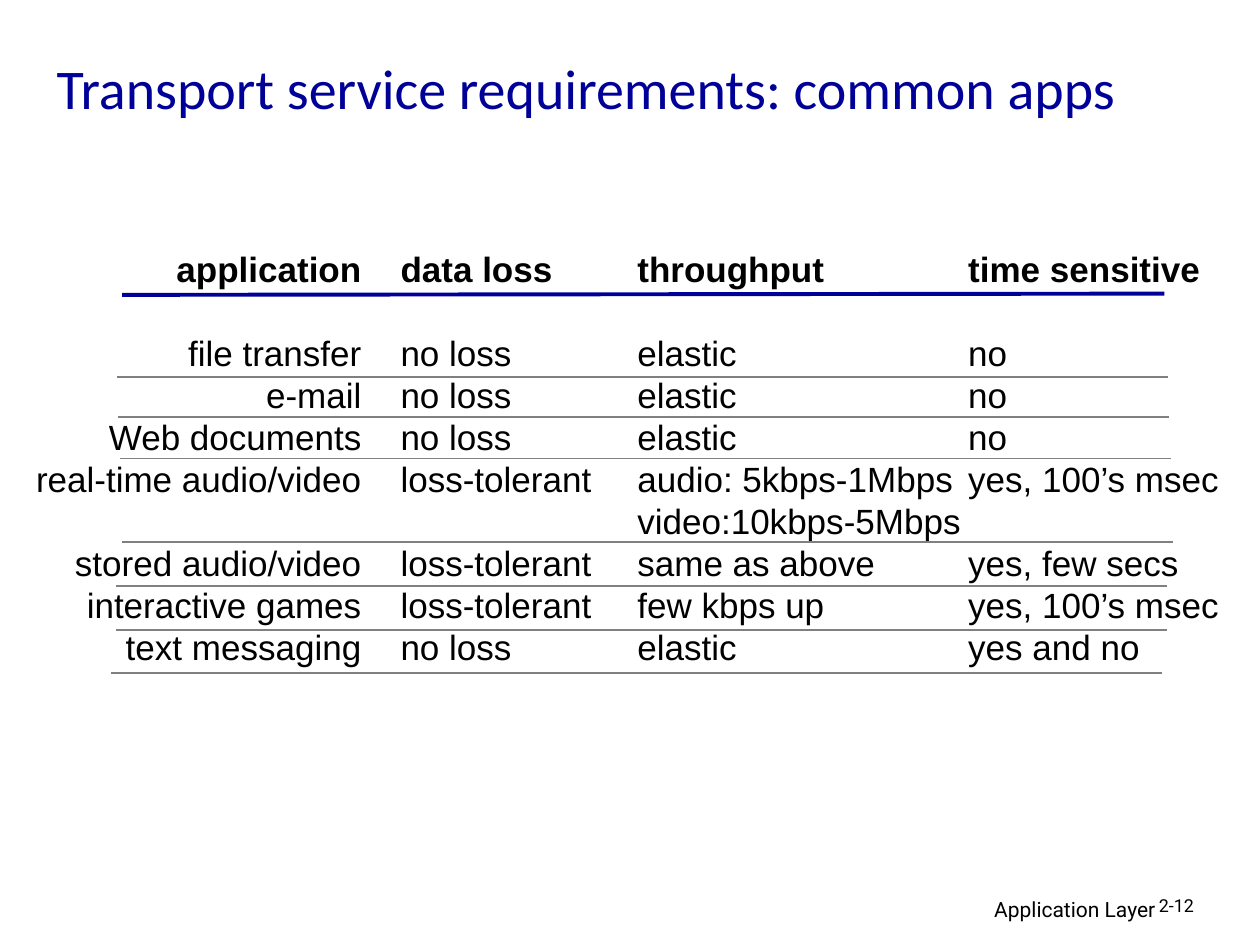
from dataclasses import dataclass

from lxml.etree import SubElement
from pptx import Presentation
from pptx.dml.color import RGBColor
from pptx.enum.shapes import MSO_CONNECTOR
from pptx.enum.text import MSO_ANCHOR, MSO_AUTO_SIZE, PP_ALIGN
from pptx.oxml.ns import qn
from pptx.util import Pt

BLUE, GRAY, BLACK = "000099", "808080", "000000"
ROW_HEIGHT = 24
COLUMN_TOP, COLUMN_HEIGHT = 137.9, 247.7
RULE_WIDTH = 600.5


@dataclass
class Box:
    left: float
    top: float
    width: float
    height: float


@dataclass
class Column:
    left: float
    width: float
    cells: list[str]
    align: PP_ALIGN = PP_ALIGN.LEFT


@dataclass
class Rule:
    x1: float
    y1: float
    x2: float
    y2: float
    color: str = GRAY
    weight: float = 1


COLUMNS = [
    Column(
        11.7, 202,
        ["application", "", "file transfer", "e-mail", "Web documents",
         "real-time audio/video", "", "stored audio/video",
         "interactive games", "text messaging"],
        PP_ALIGN.RIGHT),
    Column(
        221.8, 127,
        ["data loss", "", "no loss", "no loss", "no loss", "loss-tolerant",
         "", "loss-tolerant", "loss-tolerant", "no loss"]),
    Column(
        357.1, 203,
        ["throughput", "", "elastic", "elastic", "elastic",
         "audio: 5kbps-1Mbps", "video:10kbps-5Mbps", "same as above",
         "few kbps up", "elastic"]),
    Column(
        546.2, 163,
        ["time sensitive", "", "no", "no", "no", "yes, 100’s msec", "",
         "yes, few secs", "yes, 100’s msec", "yes and no"]),
]

ROW_RULE_STARTS = [(67, 215.3), (67.7, 238.3), (68.4, 262), (69.8, 309.6),
                   (66.2, 334.8), (66.2, 360), (63.4, 384.5)]
RULES = [Rule(69.8, 168.5, 665.3, 167.8, BLUE, 2.25)] + [
    Rule(x, y, x + RULE_WIDTH, y) for x, y in ROW_RULE_STARTS]


def rgb(color: str) -> RGBColor:
    """Turn a hex string into a colour."""
    return RGBColor.from_string(color)


def style(p, font: str, size: float, color: str, align: PP_ALIGN, bold: bool = False) -> None:
    """Format a paragraph and its runs."""
    p.alignment = align
    for r in p.runs:
        r.font.name, r.font.size, r.font.bold = font, Pt(size), bold
        r.font.color.rgb = rgb(color)


def add_box(s, box: Box):
    """Add an empty text box and return its text frame."""
    sp = s.shapes.add_textbox(Pt(box.left), Pt(box.top), Pt(box.width), Pt(box.height))
    sp.text_frame.word_wrap = True
    return sp.text_frame


def add_title(s, text: str, box: Box) -> None:
    """Move, fill and format the title placeholder."""
    sp = s.shapes.title
    sp.left, sp.top, sp.width, sp.height = Pt(box.left), Pt(box.top), Pt(box.width), Pt(box.height)
    tf = sp.text_frame
    tf.text = text
    tf.vertical_anchor = MSO_ANCHOR.MIDDLE
    style(tf.paragraphs[0], "Calibri", 32, BLUE, PP_ALIGN.LEFT)


def add_footer(s, text: str, box: Box, size: float, align: PP_ALIGN, spacing: float) -> None:
    """Add one line of footer text."""
    tf = add_box(s, box)
    tf.text = text
    tf.paragraphs[0].line_spacing = spacing
    style(tf.paragraphs[0], "Roboto", size, BLACK, align)


def add_column(s, column: Column) -> None:
    """Add a column of rows, with empty cells turned into space before the next."""
    tf = add_box(s, Box(column.left, COLUMN_TOP, column.width, COLUMN_HEIGHT))
    tf.auto_size = MSO_AUTO_SIZE.SHAPE_TO_FIT_TEXT
    gap = 0
    for i, text in enumerate(column.cells):
        if not text:
            gap += ROW_HEIGHT
            continue
        p = tf.add_paragraph() if i else tf.paragraphs[0]
        p.text = text
        p.line_spacing, p.space_before = Pt(ROW_HEIGHT), Pt(gap)
        style(p, "Arial", 20, BLACK, column.align, bold=i == 0)
        gap = 0


def add_rule(s, rule: Rule) -> None:
    """Add a straight line without a shadow."""
    line = s.shapes.add_connector(
        MSO_CONNECTOR.STRAIGHT, Pt(rule.x1), Pt(rule.y1), Pt(rule.x2), Pt(rule.y2))
    line.line.color.rgb = rgb(rule.color)
    line.line.width = Pt(rule.weight)
    SubElement(line._element.spPr, qn("a:effectLst"))


def main() -> None:
    """Build the slide and save it."""
    prs = Presentation()
    prs.slide_width, prs.slide_height = Pt(720), Pt(540)
    s = prs.slides.add_slide(prs.slide_layouts[5])
    add_footer(s, "Application Layer", Box(439.2, 509, 228.2, 22.3), 12, PP_ALIGN.RIGHT, 1)
    add_footer(s, "2-12", Box(655.2, 509, 53.3, 21.6), 10.2, PP_ALIGN.LEFT, 0.9)
    add_title(s, "Transport service requirements: common apps", Box(25.2, 18, 645.8, 64.1))
    for column in COLUMNS:
        add_column(s, column)
    for rule in RULES:
        add_rule(s, rule)
    prs.save("out.pptx")


if __name__ == "__main__":
    main()
